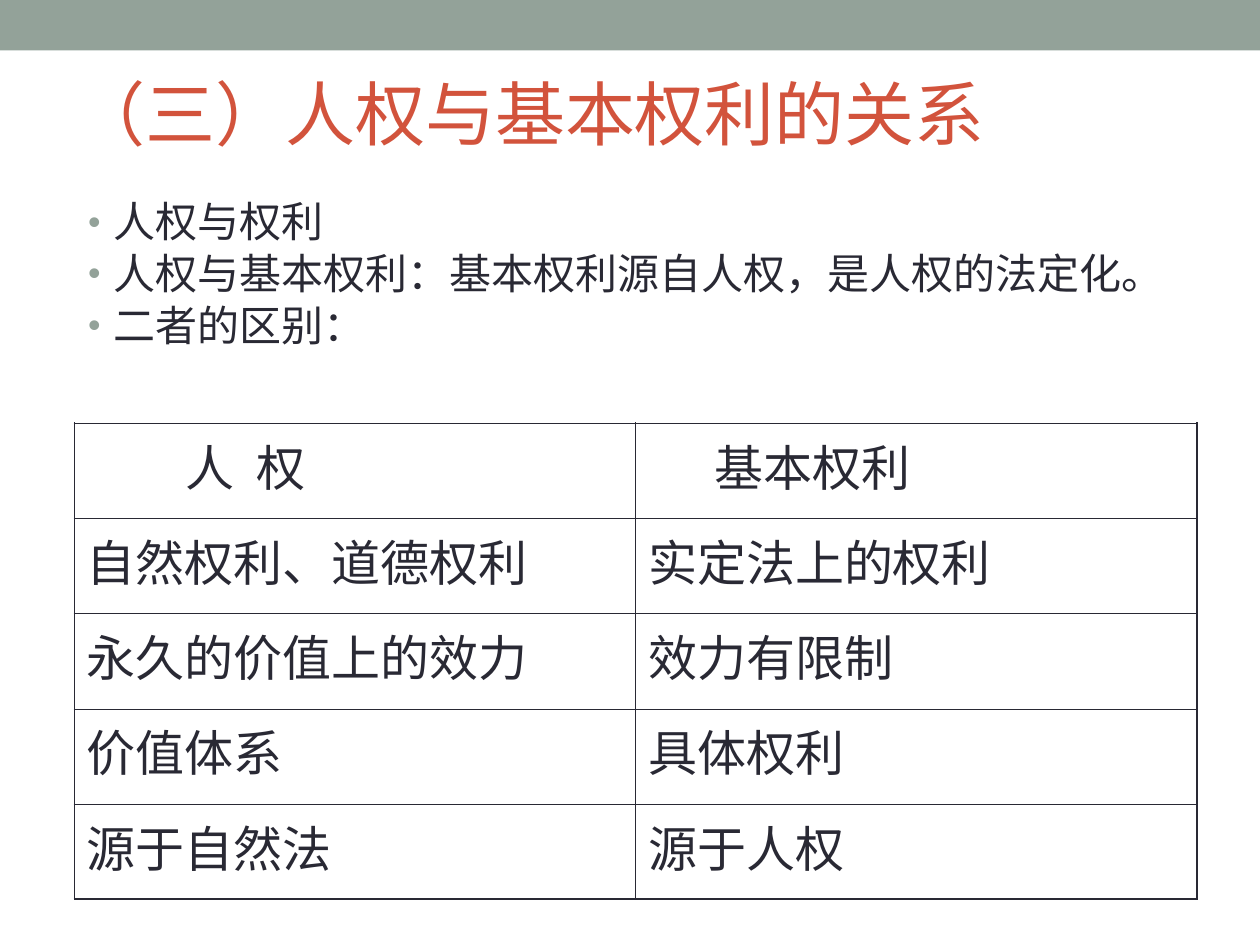
from dataclasses import dataclass

import pptx
import pptx.dml.color
import pptx.enum.shapes
import pptx.enum.text
import pptx.oxml
import pptx.oxml.ns
import pptx.util
from lxml import etree

Pt = pptx.util.Pt
qn = pptx.oxml.ns.qn


@dataclass(frozen=True)
class Theme:
    band: str = "93A299"
    title: str = "D2533C"
    ink: str = "292934"
    latin: str = "Times New Roman"
    cjk: str = "Noto Sans CJK SC"
    title_size: float = 40
    body_size: float = 24
    table_size: float = 28
    outer_line: float = 1.08
    inner_line: float = 0.45


THEME = Theme()

BULLETS = [
    "人权与权利",
    "人权与基本权利：基本权利源自人权，是人权的法定化。",
    "二者的区别：",
]
ROWS = [
    ("人 权", "基本权利"),
    ("自然权利、道德权利", "实定法上的权利"),
    ("永久的价值上的效力", "效力有限制"),
    ("价值体系", "具体权利"),
    ("源于自然法", "源于人权"),
]
HEADER_INDENTS = (56.5, 37.7)


def rgb(color):
    return pptx.dml.color.RGBColor.from_string(color)


def place(shape, left, top, width, height):
    shape.left, shape.top = Pt(left), Pt(top)
    shape.width, shape.height = Pt(width), Pt(height)


def style_runs(p, size, color, latin):
    for r in p.runs:
        r.font.size = Pt(size)
        r.font.name = latin
        r.font.color.rgb = rgb(color)
        etree.SubElement(r.font._element, qn("a:ea"), typeface=THEME.cjk)


def add_band(s):
    band = s.shapes.add_shape(
        pptx.enum.shapes.MSO_SHAPE.RECTANGLE, 0, 0, Pt(720), Pt(28.8))
    band.shadow.inherit = False
    band.fill.solid()
    band.fill.fore_color.rgb = rgb(THEME.band)
    band.line.fill.background()


def fill_title(title, text):
    place(title, 36, 21.6, 648, 90)
    tf = title.text_frame
    tf.text = text
    tf.auto_size = pptx.enum.text.MSO_AUTO_SIZE.NONE
    tf.vertical_anchor = pptx.enum.text.MSO_ANCHOR.MIDDLE
    p = tf.paragraphs[0]
    p.alignment = pptx.enum.text.PP_ALIGN.LEFT
    p.line_spacing = 0.95
    style_runs(p, THEME.title_size, THEME.title, THEME.latin)


def set_bullet(p, hang):
    pPr = p._p.get_or_add_pPr()
    pPr.set("marL", str(Pt(hang)))
    pPr.set("indent", str(-Pt(hang)))
    color = etree.SubElement(pPr, qn("a:buClr"))
    etree.SubElement(color, qn("a:srgbClr"), val=THEME.band)
    etree.SubElement(pPr, qn("a:buSzPct"), val="85000")
    etree.SubElement(pPr, qn("a:buFont"), typeface="Arial")
    etree.SubElement(pPr, qn("a:buChar"), char="•")


def fill_bullets(body, items):
    place(body, 43.2, 111.6, 633.6, 110.2)
    tf = body.text_frame
    tf.text = "\n".join(items)
    tf.auto_size = pptx.enum.text.MSO_AUTO_SIZE.NONE
    for i, p in enumerate(tf.paragraphs):
        set_bullet(p, 14.4)
        p.line_spacing = 0.9
        p.space_before = Pt(3.6 if i else 0)
        style_runs(p, THEME.body_size, THEME.ink, THEME.latin)


def set_borders(cell, widths):
    """Draw the left, right, top and bottom lines, in that order."""
    tcPr = cell._tc.get_or_add_tcPr()
    for side, width in zip("LRTB", widths):
        ln = etree.SubElement(tcPr, qn("a:ln" + side), w=str(Pt(width)))
        fill = etree.SubElement(ln, qn("a:solidFill"))
        etree.SubElement(fill, qn("a:srgbClr"), val=THEME.ink)


def add_comparison_table(s, rows):
    n_rows, n_cols = len(rows), len(rows[0])
    table = s.shapes.add_table(
        n_rows, n_cols, Pt(42.5), Pt(241.9), Pt(641.6), Pt(272)).table
    table.first_row = table.horz_banding = False
    for i, row in enumerate(rows):
        for j, text in enumerate(row):
            cell = table.cell(i, j)
            edges = (j == 0, j == n_cols - 1, i == 0, i == n_rows - 1)
            set_borders(cell, [THEME.outer_line if edge else THEME.inner_line
                               for edge in edges])
            cell.fill.background()
            cell.text_frame.text = text
            p = cell.text_frame.paragraphs[0]
            style_runs(p, THEME.table_size, THEME.ink, THEME.cjk)
            if i == 0:
                p._p.get_or_add_pPr().set("marL", str(Pt(HEADER_INDENTS[j])))
    # Widen the gap between the two characters of the first heading.
    heading = table.cell(0, 0).text_frame.paragraphs[0].runs[0]
    heading.font._element.set("spc", "300")


def main():
    prs = pptx.Presentation()
    prs.slide_width, prs.slide_height = Pt(720), Pt(540)
    s = prs.slides.add_slide(prs.slide_layouts[1])
    add_band(s)
    fill_title(s.shapes.title, "（三）人权与基本权利的关系")
    fill_bullets(s.placeholders[1], BULLETS)
    add_comparison_table(s, ROWS)
    prs.save("out.pptx")


if __name__ == "__main__":
    main()
